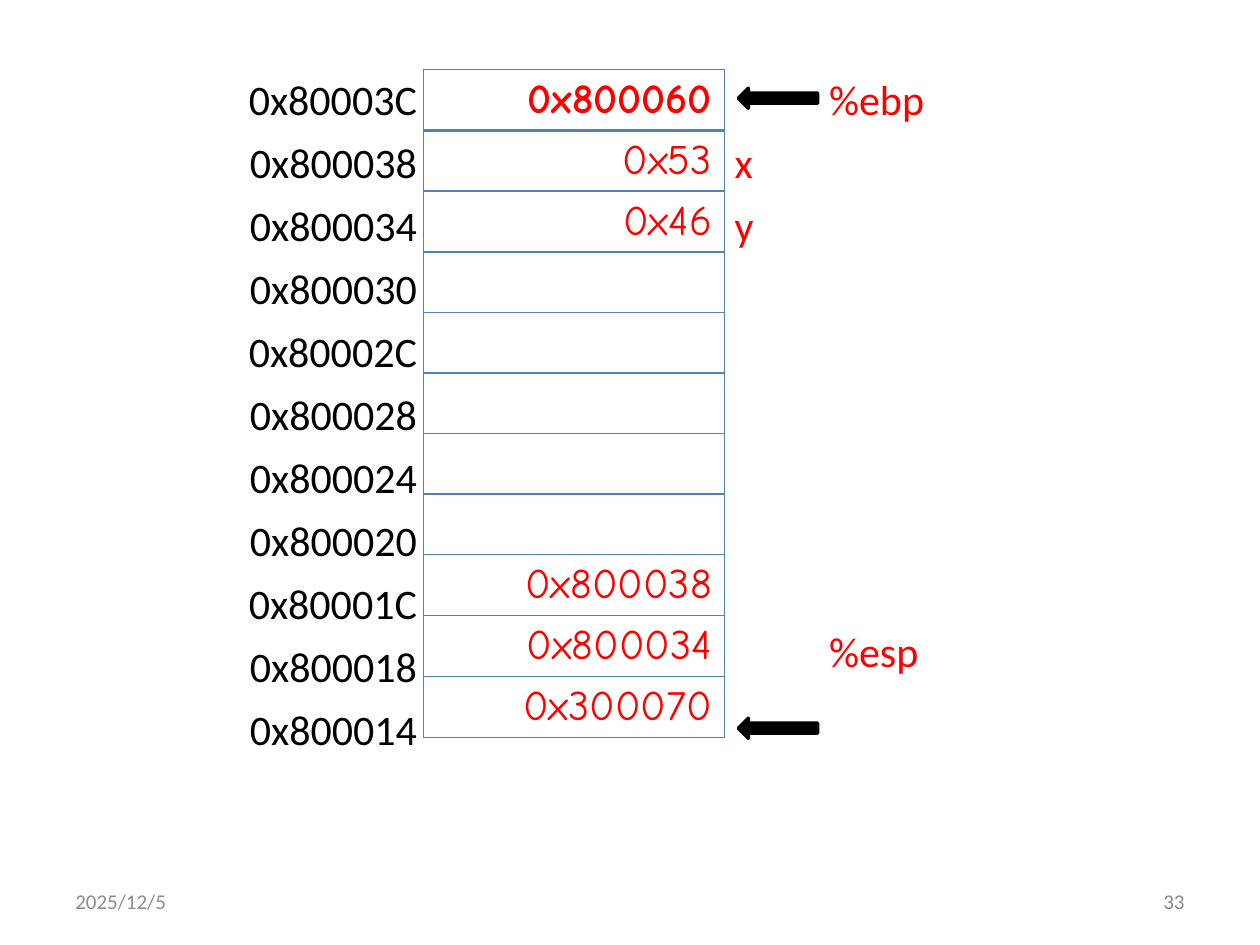
"""Build a stack-frame slide: addresses, stored values and register pointers."""
from lxml import etree
from pptx import Presentation
from pptx import util as u
from pptx.dml.color import RGBColor
from pptx.enum import shapes, text
from pptx.oxml.ns import qn

BLACK = RGBColor(0, 0, 0)
RED = RGBColor(0xFF, 0, 0)
WHITE = RGBColor(0xFF, 0xFF, 0xFF)
GRAY = RGBColor(0x8C, 0x8C, 0x8C)
BLUE = RGBColor(0x4F, 0x81, 0xBD)
PLAIN_STYLE = "{2D5ABB26-0587-4C30-8999-92F81FD0307C}"

ADDRESSES = ["0x80003C", "0x800038", "0x800034", "0x800030", "0x80002C", "0x800028",
             "0x800024", "0x800020", "0x80001C", "0x800018", "0x800014"]
VALUES = ["0x800060", "0x53", "0x46", "", "", "", "", "",
          "0x800038", "0x800034", "0x300070"]
LABELS = ["%ebp", "x", "y", "", "", "", "", "", "", "%esp", ""]
FOOTERS = [("33", 7.17, text.PP_ALIGN.RIGHT), ("2025/12/5", 0.5, text.PP_ALIGN.LEFT)]
ARROW_TOPS = [0.7, 5.7]
TOP, WIDTH, ROW = 0.55, 2.39, 0.48


def style(p, font, size, color, align, bold=False):
    p.alignment = align
    for r in p.runs:
        r.font.name, r.font.size = font, u.Pt(size)
        r.font.color.rgb, r.font.bold = color, bold


def add_column(s, left, words, font, color, align):
    frame = s.shapes.add_table(len(words), 1, u.Inches(left), u.Inches(TOP),
                               u.Inches(WIDTH), u.Inches(ROW * len(words)))
    table = frame.table
    table.first_row = table.horz_banding = False
    table._tbl.tblPr.find(qn("a:tableStyleId")).text = PLAIN_STYLE
    for row, word in zip(table.rows, words):
        cell = row.cells[0]
        cell.text_frame.text = word
        style(cell.text_frame.paragraphs[0], font, 24, color, align)
    return table


def set_borders(cell, **widths):
    tcPr = cell._tc.get_or_add_tcPr()
    for i, side in enumerate("LRTB"):
        ln = etree.Element(qn("a:ln" + side), w=str(u.Pt(widths.get(side, 1))))
        fill = etree.SubElement(ln, qn("a:solidFill"))
        etree.SubElement(fill, qn("a:srgbClr"), val=str(BLUE))
        tcPr.insert(i, ln)


def main():
    prs = Presentation()
    prs.slide_width, prs.slide_height = u.Inches(10), u.Inches(7.5)
    s = prs.slides.add_slide(prs.slide_layouts[6])

    stack = add_column(s, 3.36, VALUES, "Comic Neue", RED, text.PP_ALIGN.RIGHT)
    for i, row in enumerate(stack.rows):
        cell = row.cells[0]
        cell.fill.solid()
        cell.fill.fore_color.rgb = WHITE
        set_borders(cell, T=2 if i == 1 else 1, B=2 if i == 0 else 1)
    stack.cell(0, 0).text_frame.paragraphs[0].runs[0].font.bold = True

    for word, left, align in FOOTERS:
        sp = s.shapes.add_textbox(u.Inches(left), u.Inches(6.95), u.Inches(2.33), u.Inches(0.4))
        tf = sp.text_frame
        tf.word_wrap = True
        tf.vertical_anchor = text.MSO_ANCHOR.MIDDLE
        tf.text = word
        style(tf.paragraphs[0], "Calibri", 12, GRAY, align)

    add_column(s, 1.02, ADDRESSES, "Calibri", BLACK, text.PP_ALIGN.RIGHT)
    labels = add_column(s, 5.73, LABELS, "Calibri", RED, text.PP_ALIGN.LEFT)
    for row, word in zip(labels.rows, LABELS):
        if word.startswith("%"):
            row.cells[0].margin_left = u.Inches(0.85)

    for top in ARROW_TOPS:
        sp = s.shapes.add_shape(shapes.MSO_SHAPE.LEFT_ARROW, u.Inches(5.86), u.Inches(top),
                                u.Inches(0.63), u.Inches(0.16))
        sp.shadow.inherit = False
        sp.fill.solid()
        sp.fill.fore_color.rgb = BLACK
        sp.line.color.rgb = BLACK
        sp.line.width = u.Pt(2)

    prs.save("out.pptx")


if __name__ == "__main__":
    main()
